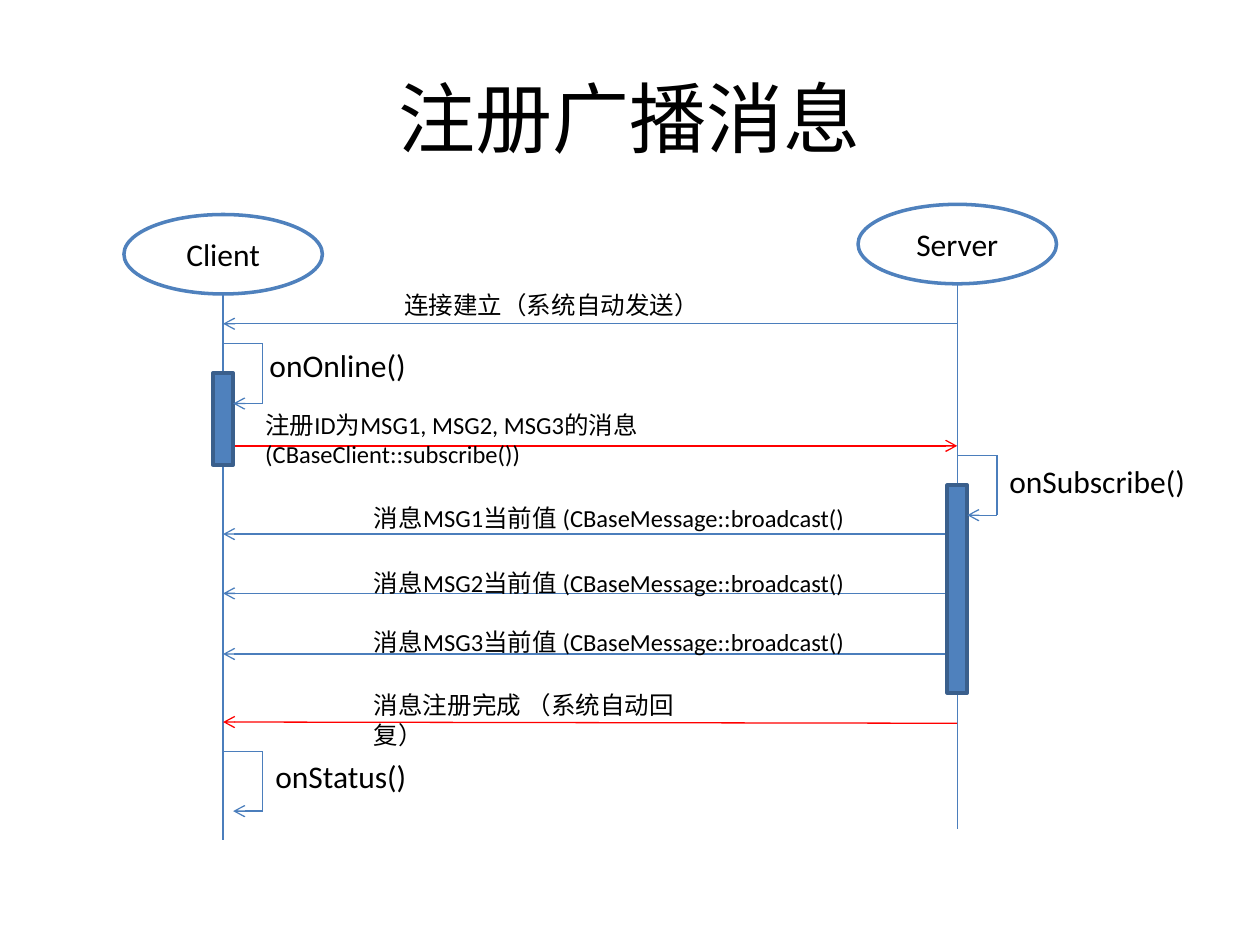
from dataclasses import dataclass

from lxml import etree
from pptx import Presentation
from pptx.dml.color import RGBColor
from pptx.enum import shapes, text
from pptx.oxml.ns import qn
from pptx.util import Pt


@dataclass(frozen=True)
class Theme:
    font: str = "Calibri"
    title_size: float = 44
    name_size: float = 18
    message_size: float = 14
    ink: str = "000000"
    paper: str = "FFFFFF"
    accent: str = "4F81BD"
    bar_edge: str = "3A5F8C"
    line: str = "4B7EBC"
    alert: str = "FF0000"
    thin: float = 0.75
    thick: float = 2


THEME = Theme()
CLIENT_X = 127.5
SERVER_X = 547
BAR_WIDTH = 11.5
HALF_BAR = BAR_WIDTH / 2
LOOP_WIDTH = 22.7
LOOP_HEIGHT = 34.2


def color(value):
    return RGBColor.from_string(value)


def write(shape, content, size, alignment):
    paragraph = shape.text_frame.paragraphs[0]
    paragraph.text = content
    paragraph.alignment = alignment
    paragraph.font.name = THEME.font
    paragraph.font.size = Pt(size)
    paragraph.font.color.rgb = color(THEME.ink)


def add_label(slide, content, left, top, width, height, size,
              alignment=text.PP_ALIGN.LEFT, anchor=text.MSO_ANCHOR.TOP):
    shape = slide.shapes.add_textbox(Pt(left), Pt(top), Pt(width), Pt(height))
    shape.text_frame.word_wrap = True
    shape.text_frame.vertical_anchor = anchor
    write(shape, content, size, alignment)


def add_box(slide, kind, left, top, width, height, fill, edge):
    shape = slide.shapes.add_shape(kind, Pt(left), Pt(top), Pt(width), Pt(height))
    shape.shadow.inherit = False
    shape.fill.solid()
    shape.fill.fore_color.rgb = color(fill)
    shape.line.color.rgb = color(edge)
    shape.line.width = Pt(THEME.thick)
    return shape


def add_line(slide, start, end, stroke=THEME.line, arrow=False):
    connector = slide.shapes.add_connector(
        shapes.MSO_CONNECTOR.STRAIGHT, *(Pt(value) for value in (*start, *end)))
    connector.line.color.rgb = color(stroke)
    connector.line.width = Pt(THEME.thin)
    if arrow:
        outline = connector.line._get_or_add_ln()
        etree.SubElement(outline, qn("a:tailEnd"), type="arrow")
    etree.SubElement(connector._element.spPr, qn("a:effectLst"))


def add_participant(slide, name, x, top):
    width, height, lifeline = 113.4, 45.4, 311.8
    bottom = top + height
    add_line(slide, (x, bottom), (x, bottom + lifeline))
    ellipse = add_box(slide, shapes.MSO_SHAPE.OVAL, x - width / 2, top, width, height,
                      THEME.paper, THEME.accent)
    ellipse.text_frame.vertical_anchor = text.MSO_ANCHOR.MIDDLE
    write(ellipse, name, THEME.name_size, text.PP_ALIGN.CENTER)


def add_activation(slide, x, top, height):
    add_box(slide, shapes.MSO_SHAPE.RECTANGLE, x - HALF_BAR, top, BAR_WIDTH, height,
            THEME.accent, THEME.bar_edge)


def add_callback(slide, name, x, top, label_left, label_top):
    right, bottom = x + LOOP_WIDTH, top + LOOP_HEIGHT
    add_line(slide, (x, top), (right, top))
    add_line(slide, (right, top), (right, bottom))
    add_line(slide, (right, bottom), (x + HALF_BAR, bottom), arrow=True)
    add_label(slide, name, label_left, label_top, 124.7, 29, THEME.name_size)


def add_message(slide, content, start, end, stroke, left, top, width):
    add_line(slide, start, end, stroke, arrow=True)
    add_label(slide, content, left, top, width, 24.2, THEME.message_size)


def main():
    presentation = Presentation()
    presentation.slide_width, presentation.slide_height = Pt(720), Pt(540)
    slide = presentation.slides.add_slide(presentation.slide_layouts[6])

    add_label(slide, "注册广播消息", 36, 21.6, 648, 90, THEME.title_size,
              text.PP_ALIGN.CENTER, text.MSO_ANCHOR.MIDDLE)
    add_participant(slide, "Client", CLIENT_X, 122.6)
    add_participant(slide, "Server", SERVER_X, 116.8)

    add_message(slide, "连接建立（系统自动发送）", (SERVER_X, 185), (CLIENT_X, 185),
                THEME.line, 223.9, 162, 209.8)
    add_message(slide, "注册ID为MSG1, MSG2, MSG3的消息 (CBaseClient::subscribe())",
                (CLIENT_X, 254.8), (SERVER_X, 254.8), THEME.alert, 144.5, 230.6, 374.4)
    broadcasts = ((305.2, 283.7), (339.1, 321.1), (373.7, 355))
    for number, (y, label_top) in enumerate(broadcasts, 1):
        add_message(slide, f"消息MSG{number}当前值 (CBaseMessage::broadcast()",
                    (SERVER_X - HALF_BAR, y), (CLIENT_X, y), THEME.line,
                    206.6, label_top, 306)
    add_message(slide, "消息注册完成 （系统自动回复）", (SERVER_X, 413.3), (CLIENT_X, 412.6),
                THEME.alert, 206.6, 391, 209.8)

    add_activation(slide, CLIENT_X, 213.1, 52.6)
    add_activation(slide, SERVER_X, 277.2, 118.8)
    add_callback(slide, "onOnline()", CLIENT_X, 196.4, 146.9, 194.4)
    add_callback(slide, "onSubscribe()", SERVER_X, 260.2, 569.7, 260.2)
    add_callback(slide, "onStatus()", CLIENT_X, 429.3, 150.2, 429.3)

    presentation.save("out.pptx")


main()
